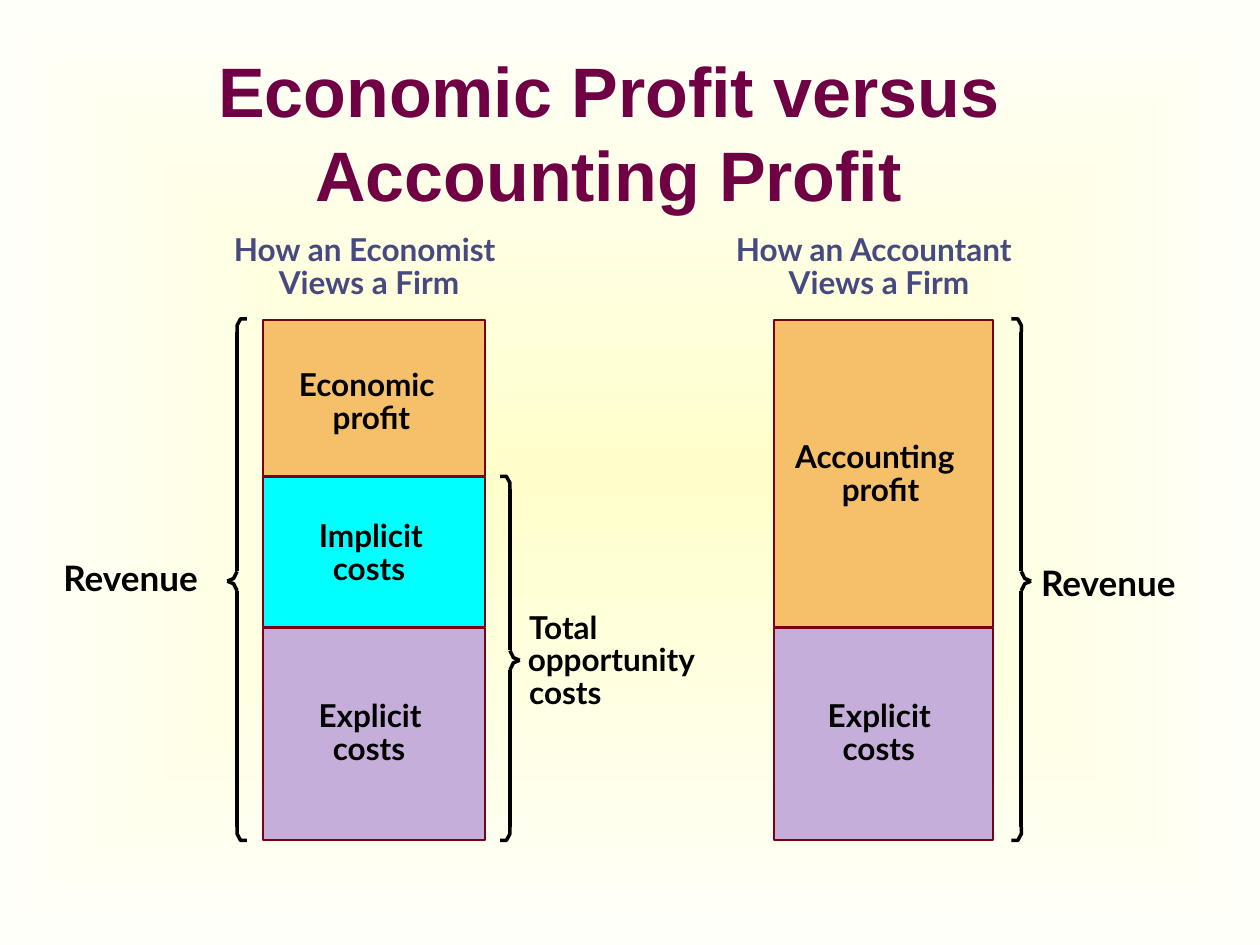
from lxml import etree
from pptx import Presentation
from pptx.dml.color import RGBColor
from pptx.enum.shapes import MSO_SHAPE
from pptx.enum.text import MSO_ANCHOR, PP_ALIGN
from pptx.oxml.ns import qn
from pptx.util import Pt

RECTANGLE = MSO_SHAPE.RECTANGLE
MIDDLE = MSO_ANCHOR.MIDDLE
CENTER = PP_ALIGN.CENTER

BLACK = "000000"
HEADING = "474A81"
PROFIT = "F6BF69"
IMPLICIT = "00FFFF"
EXPLICIT = "C5AED9"
BORDER = "790015"

LINE_PITCH = 18.8
BAR_BOTTOM = 480.2
PROFIT_TOP = 182.7
IMPLICIT_TOP = 272.7
EXPLICIT_TOP = 359
GAP = 0.7


def rgb(value):
    return RGBColor.from_string(value)


def style_font(font, color, **values):
    font.color.rgb = rgb(color)
    for name, value in values.items():
        setattr(font, name, value)


def paint_background(slide):
    """Fill the slide with a gradient that spreads from its centre."""
    fill = slide.background.fill
    fill.gradient()
    for stop, color in zip(fill.gradient_stops, ("FFFFCC", "FFFFFA")):
        stop.color.rgb = rgb(color)
    linear = next(slide.element.iter(qn("a:lin")))
    spread = etree.Element(qn("a:path"), path="rect")
    etree.SubElement(spread, qn("a:fillToRect"),
                     dict.fromkeys("ltrb", "50000"))
    linear.getparent().replace(linear, spread)


def set_title(slide, text):
    title = slide.shapes.title
    place = {"left": 41.8, "top": 30.2, "width": 612, "height": 90}
    for name, value in place.items():
        setattr(title, name, Pt(value))
    frame = title.text_frame
    frame.text = text
    frame.vertical_anchor = MIDDLE
    paragraph = frame.paragraphs[0]
    paragraph.alignment = CENTER
    style_font(paragraph.runs[0].font, "6E0043",
               name="Arial", size=Pt(40), bold=True)


def add_label(slide, top, lines, size=18, color=BLACK):
    """Stack lines, each given as (left, width, text)."""
    for row, (left, width, text) in enumerate(lines):
        box = slide.shapes.add_textbox(
            Pt(left), Pt(top + row * LINE_PITCH), Pt(width), Pt(size * 1.2))
        frame = box.text_frame
        frame.word_wrap = True
        for side in ("left", "top", "right", "bottom"):
            setattr(frame, f"margin_{side}", 0)
        frame.text = text
        style_font(frame.paragraphs[0].runs[0].font, color,
                   name="Lato", size=Pt(size), bold=True)


def add_bar(slide, left, width, top, bottom, color):
    bar = slide.shapes.add_shape(
        RECTANGLE, Pt(left), Pt(top), Pt(width), Pt(bottom - top))
    bar.shadow.inherit = False
    bar.fill.solid()
    bar.fill.fore_color.rgb = rgb(color)
    bar.line.color.rgb = rgb(BORDER)
    bar.line.width = Pt(1)


def add_stroke(slide, points):
    start, *rest = [(Pt(x), Pt(y)) for x, y in points]
    builder = slide.shapes.build_freeform(*start)
    builder.add_line_segments(rest, close=False)
    stroke = builder.convert_to_shape()
    stroke.shadow.inherit = False
    stroke.fill.background()
    stroke.line.color.rgb = rgb(BLACK)
    stroke.line.width = Pt(2)


def add_brace(slide, spine, top, tip, side):
    """Draw a brace whose tip points right (side 1) or left (side -1)."""
    for end, down in ((top, 1), (BAR_BOTTOM, -1)):
        hook_end = end + down * 7.5
        tip_start = tip - down * 5.6
        hook = [(-5.6, end), (-2, end), (0, end + down * 3.7), (0, hook_end)]
        stem = [(0, hook_end), (0, tip_start)]
        point = [(0, tip_start), (2, tip - down * 1.5), (5.6, tip)]
        for part in (hook, stem, point):
            add_stroke(slide, [(spine + side * out, y) for out, y in part])


def add_economist_view(slide):
    left, width = 150.5, 126.5
    add_label(slide, 131.4, [(133.7, 165.6, "How an Economist"),
                             (159.3, 113.8, "Views a Firm")], color=HEADING)
    add_bar(slide, left, width, PROFIT_TOP, IMPLICIT_TOP - GAP, PROFIT)
    add_bar(slide, left, width, IMPLICIT_TOP, EXPLICIT_TOP - GAP, IMPLICIT)
    add_bar(slide, left, width, EXPLICIT_TOP, BAR_BOTTOM, EXPLICIT)
    costs = (190.2, 46.1, "costs")
    add_label(slide, 208.6, [(170.8, 85.7, "Economic"),
                             (190.1, 51.1, "profit")])
    add_label(slide, 294.8, [(182.2, 69.8, "Implicit"), costs])
    add_label(slide, 398, [(182, 65.5, "Explicit"), costs])
    add_brace(slide, 135.5, 182.2, 332.1, -1)
    add_label(slide, 318.2, [(36.2, 86.4, "Revenue")], size=20)
    add_brace(slide, 291.4, 272.2, 377.3, 1)
    add_label(slide, 347.2, [(302.4, 46.1, "Total"),
                             (301.6, 108, "opportunity"),
                             (302.4, 46.1, "costs")])


def add_accountant_view(slide):
    left, width = 442.3, 125
    add_label(slide, 131.4, [(420.5, 176.4, "How an Accountant"),
                             (450.7, 113.8, "Views a Firm")], color=HEADING)
    add_bar(slide, left, width, PROFIT_TOP, EXPLICIT_TOP - GAP, PROFIT)
    add_bar(slide, left, width, EXPLICIT_TOP, BAR_BOTTOM, EXPLICIT)
    add_label(slide, 249.8, [(454.4, 102.2, "Accounting"),
                             (481, 51.1, "profit")])
    add_label(slide, 398, [(473, 65.5, "Explicit"),
                           (481.5, 46.1, "costs")])
    add_brace(slide, 583.6, 182.2, 332.1, 1)
    add_label(slide, 321.1, [(594.9, 86.4, "Revenue")], size=20)


def main():
    deck = Presentation()
    deck.slide_width, deck.slide_height = Pt(720), Pt(540)
    slide = deck.slides.add_slide(deck.slide_layouts.get_by_name("Title Only"))
    paint_background(slide)
    set_title(slide, "Economic Profit versus Accounting Profit")
    add_economist_view(slide)
    add_accountant_view(slide)
    deck.save("out.pptx")


if __name__ == "__main__":
    main()
